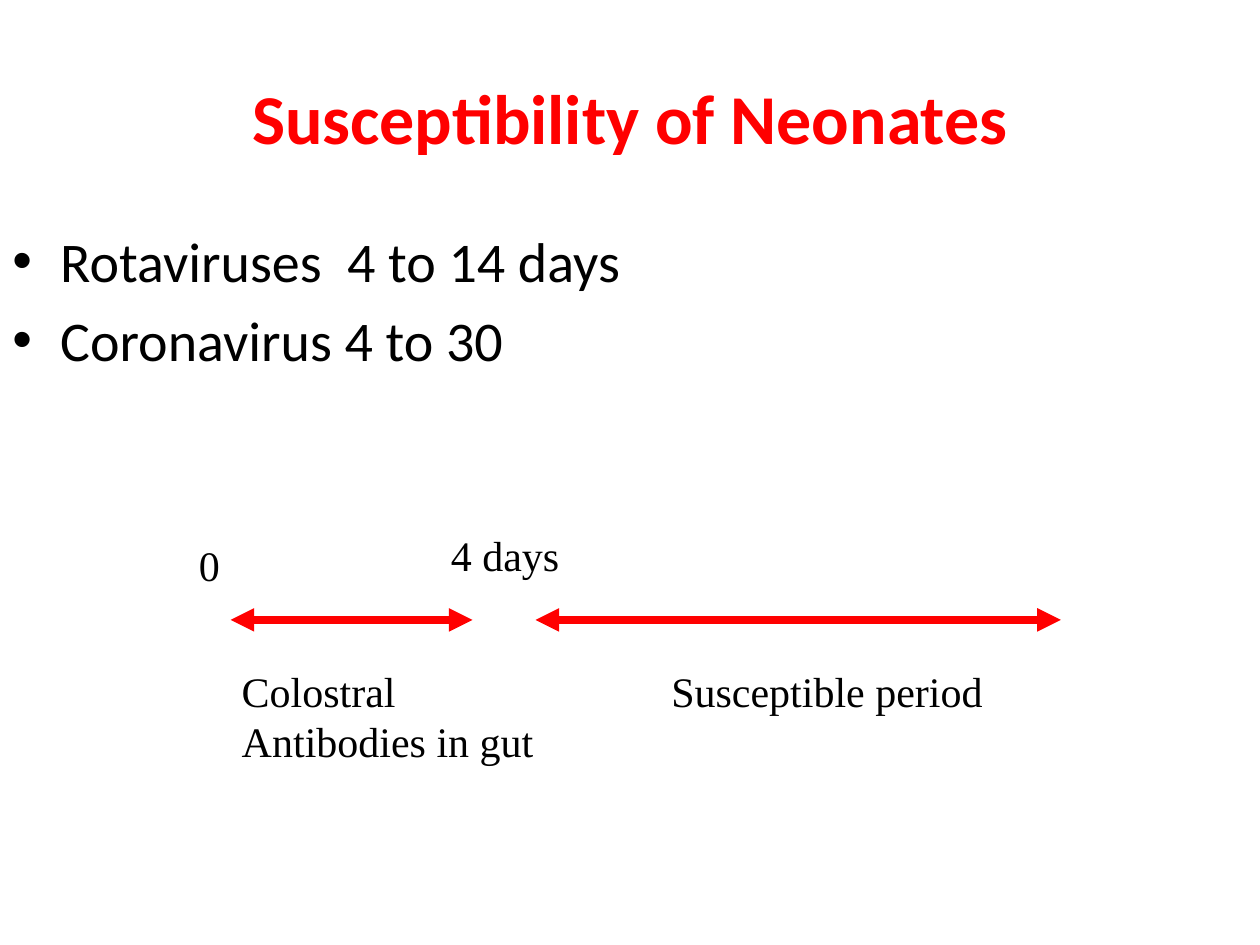
from lxml import etree
from pptx import Presentation
from pptx import util as u
from pptx.dml.color import RGBColor
from pptx.enum import shapes, text
from pptx.oxml import ns

RED = "FF0000"
BLACK = "000000"
ARROW_Y = 4.92
CAPTION_Y = 5.23


def color(value):
    """Turn a hex string into a colour."""
    return RGBColor.from_string(value)


def add_text(slide, box, lines, font, size, fill=BLACK, bold=False, wrap=True):
    """Add a text box with one paragraph per line and return its frame."""
    frame = slide.shapes.add_textbox(*map(u.Inches, box)).text_frame
    frame.word_wrap = wrap
    for index, line in enumerate(lines):
        paragraph = frame.paragraphs[0] if index == 0 else frame.add_paragraph()
        run = paragraph.add_run()
        run.text = line
        run.font.name = font
        run.font.size = u.Pt(size)
        run.font.bold = bold
        run.font.color.rgb = color(fill)
    return frame


def add_title(slide, title):
    """Add the centred slide title."""
    frame = add_text(slide, (0.5, 0.3, 9, 1.25), [title], "Calibri", 40, RED, bold=True)
    frame.vertical_anchor = text.MSO_ANCHOR.MIDDLE
    frame.paragraphs[0].alignment = text.PP_ALIGN.CENTER


def add_bullets(slide, items):
    """Add the bulleted list with hanging indents."""
    frame = add_text(slide, (0, 1.75, 9, 4.95), items, "Calibri", 32)
    for paragraph in frame.paragraphs:
        paragraph.space_before = u.Pt(6.4)
        properties = paragraph._p.get_or_add_pPr()
        properties.set("marL", str(u.Inches(0.38)))
        properties.set("indent", str(u.Inches(-0.38)))
        etree.SubElement(properties, ns.qn("a:buFont"), typeface="Arial")
        etree.SubElement(properties, ns.qn("a:buChar"), char="•")


def add_label(slide, box, *lines):
    """Add an unwrapped timeline label that grows with its text."""
    frame = add_text(slide, box, lines, "Times New Roman", 24, wrap=False)
    frame.auto_size = text.MSO_AUTO_SIZE.SHAPE_TO_FIT_TEXT


def add_period_arrow(slide, start, end):
    """Add a double-headed horizontal arrow on the timeline."""
    arrow = slide.shapes.add_connector(
        shapes.MSO_CONNECTOR.STRAIGHT,
        u.Inches(start), u.Inches(ARROW_Y), u.Inches(end), u.Inches(ARROW_Y))
    arrow.line.color.rgb = color(RED)
    arrow.line.width = u.Pt(4.5)
    line = arrow.line._get_or_add_ln()
    for tag in ("a:headEnd", "a:tailEnd"):
        etree.SubElement(line, ns.qn(tag), type="triangle")
    etree.SubElement(arrow._element.spPr, ns.qn("a:effectLst"))


def main():
    """Build the slide on neonatal susceptibility."""
    presentation = Presentation()
    presentation.slide_width = u.Inches(10)
    presentation.slide_height = u.Inches(7.5)
    slide = presentation.slides.add_slide(presentation.slide_layouts[6])

    add_title(slide, "Susceptibility of Neonates")
    add_bullets(slide, ["Rotaviruses  4 to 14 days", "Coronavirus 4 to 30"])
    add_period_arrow(slide, 1.83, 3.75)
    add_period_arrow(slide, 4.25, 8.42)
    add_label(slide, (1.48, 4.23, 0.37, 0.5), "0")
    add_label(slide, (3.48, 4.15, 1.06, 0.5), "4 days")
    add_label(slide, (1.82, CAPTION_Y, 2.52, 0.9), "Colostral", "Antibodies in gut")
    add_label(slide, (5.23, CAPTION_Y, 2.67, 0.5), "Susceptible period")
    presentation.save("out.pptx")


if __name__ == "__main__":
    main()
